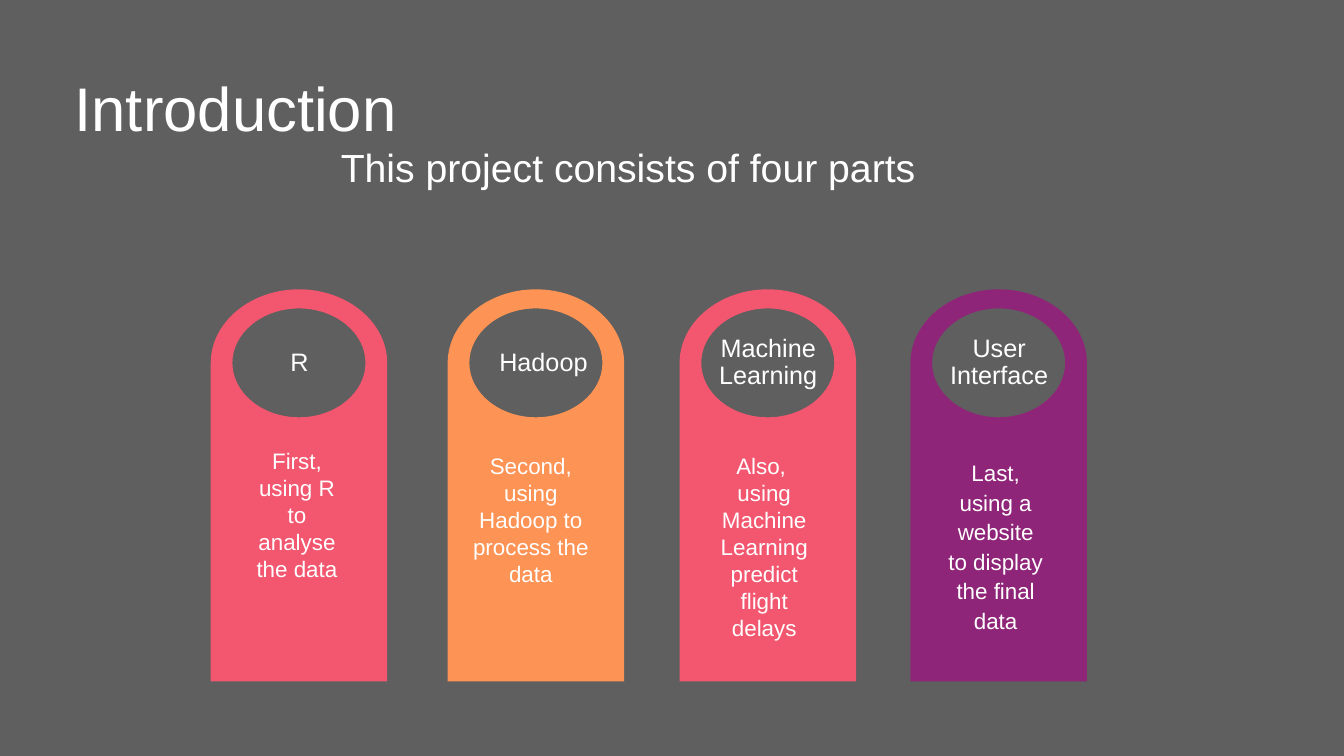
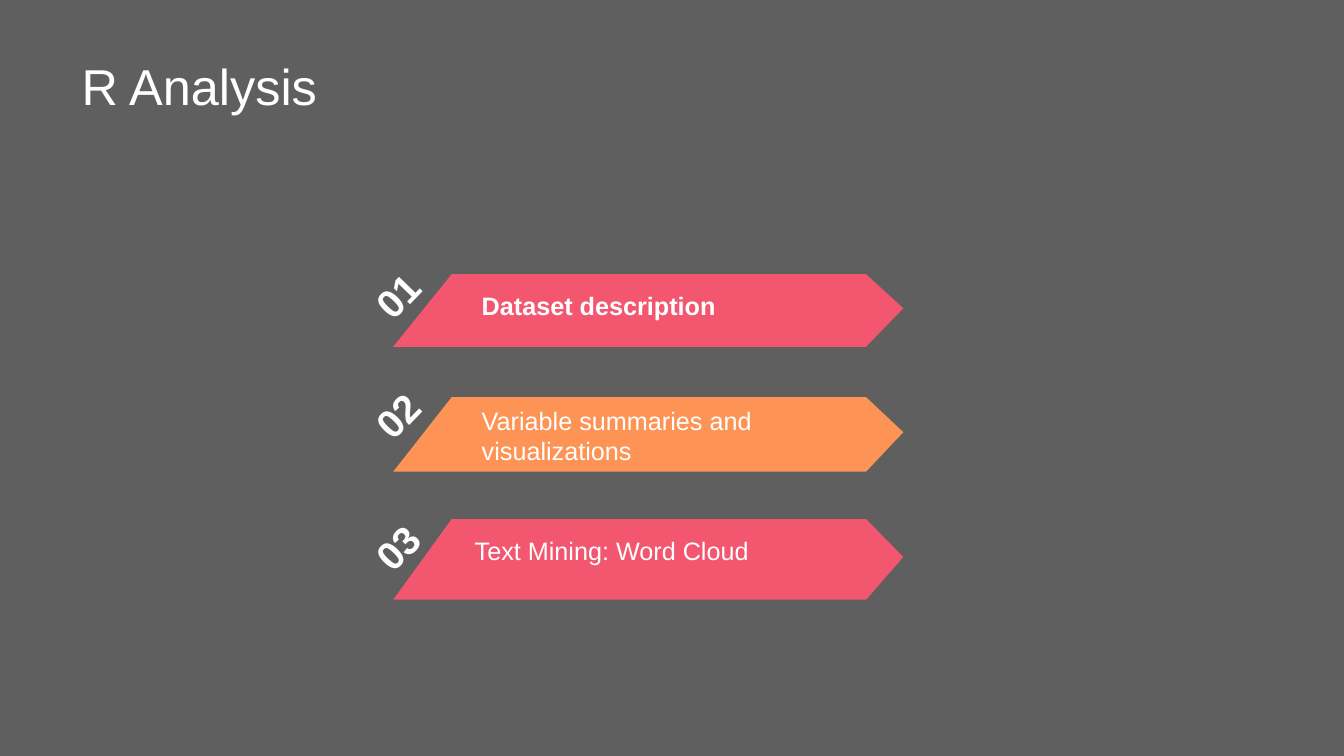
from pptx import Presentation
from pptx import util as u
from pptx.dml.color import RGBColor
from pptx.enum import shapes, text
from pptx.oxml import ns
from lxml import etree

COLORS = {
    "background": "5F5F5F",
    "white": "FFFFFF",
    "pink": "F2576F",
    "orange": "FD9354",
    "purple": "8F2578",
}
FONT = "Arial"
ROUNDNESS = 0.55
LEFT, CENTER = text.PP_ALIGN.LEFT, text.PP_ALIGN.CENTER
TOP, MIDDLE, BOTTOM = text.MSO_ANCHOR.TOP, text.MSO_ANCHOR.MIDDLE, text.MSO_ANCHOR.BOTTOM


def color(name):
    return RGBColor.from_string(COLORS[name])


def place(shape, left, top, width, height):
    shape.left, shape.top = u.Inches(left), u.Inches(top)
    shape.width, shape.height = u.Inches(width), u.Inches(height)


def write(shape, content, size=18, bold=False, align=LEFT, anchor=TOP,
          spacing=1.0, insets=(0.1, 0.05), bullets=True):
    frame = shape.text_frame
    frame.word_wrap = True
    frame.auto_size = text.MSO_AUTO_SIZE.NONE
    frame.vertical_anchor = anchor
    frame.margin_left = frame.margin_right = u.Inches(insets[0])
    frame.margin_top = frame.margin_bottom = u.Inches(insets[1])
    frame.text = content
    for paragraph in frame.paragraphs:
        if not bullets:
            properties = paragraph._p.get_or_add_pPr()
            properties.set("marL", "0")
            properties.set("indent", "0")
            etree.SubElement(properties, ns.qn("a:buNone"))
        paragraph.alignment = align
        paragraph.line_spacing = spacing
        paragraph.space_before = u.Pt(0)
        for run in paragraph.runs:
            run.font.name = FONT
            run.font.size = u.Pt(size)
            run.font.bold = bold
            run.font.color.rgb = color("white")


def add_text(slide, box, content, **style):
    shape = slide.shapes.add_textbox(*map(u.Inches, box))
    write(shape, content, **style)
    return shape


def add_title(slide, box, content, **style):
    place(slide.shapes.title, *box)
    write(slide.shapes.title, content, spacing=0.9, **style)


def bend_segments(shape, segments):
    lines = iter(shape._element.findall(".//" + ns.qn("a:lnTo")))
    for segment in segments:
        first, *others = [next(lines) for _ in segment]
        for line in others:
            first.append(line[0])
            line.getparent().remove(line)
        if others:
            first.tag = ns.qn("a:cubicBezTo")


def add_outline(slide, contours, fill):
    builder = None
    for start, *segments in contours:
        origin = tuple(map(u.Inches, start))
        if builder is None:
            builder = slide.shapes.build_freeform(*origin)
        else:
            builder.move_to(*origin)
        builder.add_line_segments(
            [(u.Inches(x), u.Inches(y)) for segment in segments for x, y in segment],
            close=False)
    shape = builder.convert_to_shape()
    bend_segments(shape, [segment for contour in contours for segment in contour[1:]])
    shape.shadow.inherit = False
    shape.fill.solid()
    shape.fill.fore_color.rgb = color(fill)
    shape.line.fill.background()


def quarter(center, start, end):
    (center_x, center_y), (start_x, start_y), (end_x, end_y) = center, start, end
    pull_x, pull_y = ROUNDNESS * (end_x - center_x), ROUNDNESS * (end_y - center_y)
    lift_x, lift_y = ROUNDNESS * (start_x - center_x), ROUNDNESS * (start_y - center_y)
    return [(start_x + pull_x, start_y + pull_y), (end_x + lift_x, end_y + lift_y), end]


def ellipse_contour(center, radius_x, radius_y):
    x, y = center
    corners = [(x, y - radius_y), (x - radius_x, y), (x, y + radius_y), (x + radius_x, y)]
    ends = corners[1:] + corners[:1]
    return [corners[0]] + [quarter(center, *pair) for pair in zip(corners, ends)]


def add_arch(slide, box, fill, label, label_width, description, description_box, spacing):
    left, top, width, height = box
    right, bottom = left + width, top + height
    center = center_x, center_y = left + width / 2, top + 0.73
    peak = (center_x, top)
    arch = [
        peak,
        quarter(center, peak, (right, center_y)),
        [(right, bottom)],
        [(left, bottom)],
        [(left, center_y)],
        quarter(center, (left, center_y), peak),
    ]
    add_outline(slide, [ellipse_contour(center, 0.66, 0.54), arch], fill)

    ellipse = slide.shapes.add_shape(
        shapes.MSO_SHAPE.OVAL,
        *map(u.Inches, (left + 0.15, top + 0.13, label_width, 1.2)))
    ellipse.shadow.inherit = False
    ellipse.fill.background()
    ellipse.line.fill.background()
    write(ellipse, label, align=CENTER, anchor=MIDDLE, spacing=0.9, insets=(0, 0))

    offset_x, offset_y, text_width, text_height = description_box
    add_text(slide, (left + offset_x, top + offset_y, text_width, text_height),
             description, size=16, align=CENTER, spacing=spacing)


def add_banner(slide, box, fill, number, number_y, label, label_offset, bold):
    left, top, width, height = box
    right, bottom = left + width, top + height
    shoulder = right - 0.37
    start = (shoulder, bottom)
    corners = [(left, bottom), (left + 0.58, top), (shoulder, top),
               (right, top + 0.47 * height), start]
    add_outline(slide, [[start] + [[corner] for corner in corners]], fill)
    number_box = add_text(slide, (left - 0.49, top + number_y - 0.32, 1.1, 0.64), number,
                          size=28, bold=True, align=CENTER, anchor=MIDDLE,
                          spacing=0.9, insets=(0, 0))
    number_box.rotation = 314.1
    add_text(slide, (left + label_offset[0], top + label_offset[1], 3.86, 0.7),
             label, bold=bold)


def build_introduction(presentation):
    slide = presentation.slides.add_slide(presentation.slide_layouts[1])
    add_title(slide, (0.64, 0.38, 11.5, 1.45), "Introduction", size=44, anchor=MIDDLE)
    body = slide.placeholders[1]
    place(body, 3.28, 1.42, 9.57, 2.44)
    write(body, "This project consists of four parts", size=28, spacing=0.9, bullets=False)
    arches = [
        (2.09, "pink", "R", 1.46, "First, using R to analyse the data",
         (0.33, 1.52, 1.05, 1.72), 1.0),
        (4.44, "orange", "Hadoop", 1.6, "Second,\nusing Hadoop to process the data",
         (0.14, 1.57, 1.37, 1.68), 1.0),
        (9.03, "purple", "User Interface", 1.46,
         "Last,\nusing a website to display the final data",
         (0.26, 1.61, 1.17, 1.86), 1.1),
        (6.74, "pink", "Machine\nLearning", 1.46,
         "Also, \nusing Machine Learning predict flight delays",
         (0.17, 1.57, 1.34, 2.22), 1.0),
    ]
    for left, *details in arches:
        add_arch(slide, (left, 2.87, 1.75, 3.89), *details)


def build_analysis(presentation):
    slide = presentation.slides.add_slide(presentation.slide_layouts[5])
    add_title(slide, (0.71, 0.47, 11.8, 0.74), "R Analysis", size=36, anchor=BOTTOM)
    banners = [
        (2.72, 0.72, "pink", 0.23, "Dataset description", (0.78, 0.11), True),
        (3.94, 0.74, "orange", 0.2, "Variable summaries and visualizations",
         (0.78, 0.03), False),
        (5.15, 0.8, "pink", 0.3, "Text Mining: Word Cloud", (0.71, 0.11), False),
    ]
    for index, (top, height, fill, number_y, *label) in enumerate(banners, 1):
        add_banner(slide, (3.9, top, 5.06, height), fill, f"{index:02}", number_y, *label)


def main():
    presentation = Presentation()
    presentation.slide_width = u.Inches(13.33)
    presentation.slide_height = u.Inches(7.5)
    background = presentation.slide_master.background.fill
    background.solid()
    background.fore_color.rgb = color("background")
    build_introduction(presentation)
    build_analysis(presentation)
    presentation.save("out.pptx")


if __name__ == "__main__":
    main()
